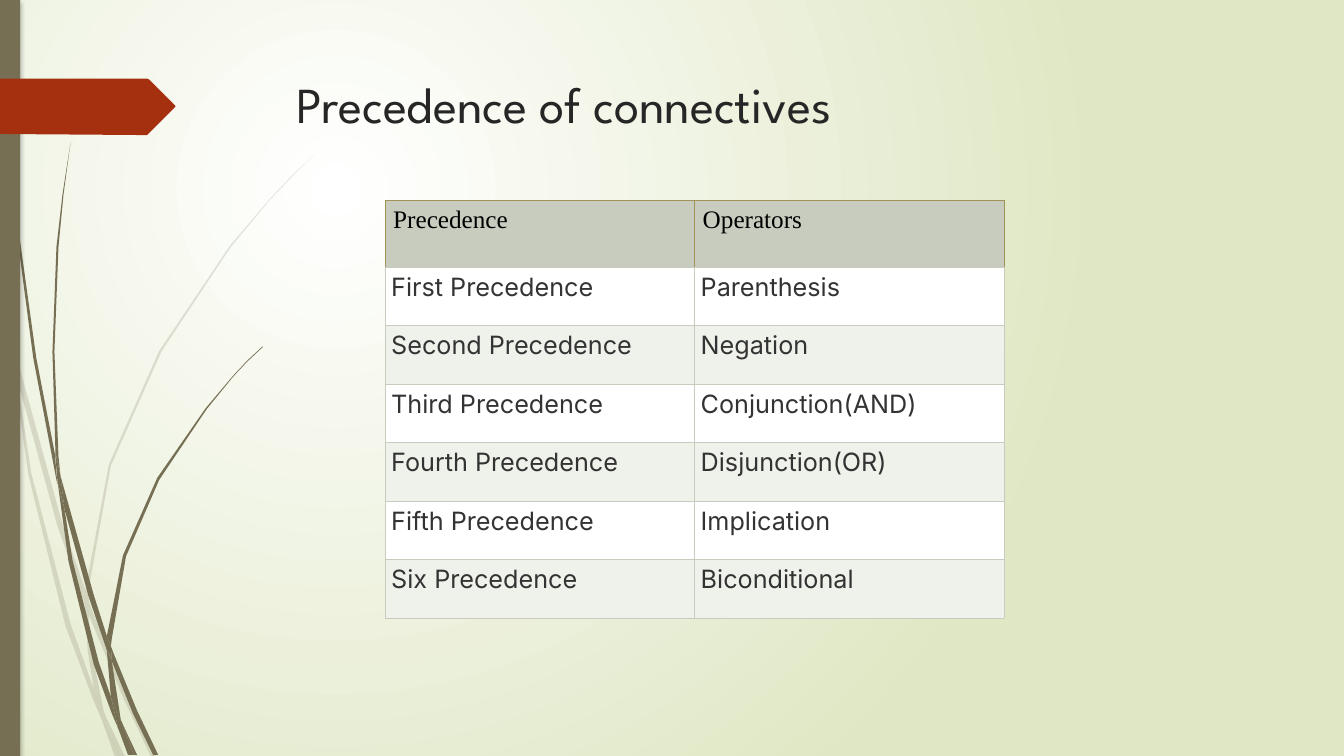
from lxml.etree import SubElement as Sub
from pptx import Presentation
from pptx.dml.color import RGBColor as Rgb
from pptx.enum.shapes import MSO_SHAPE as Shape
from pptx.enum.text import MSO_ANCHOR as Anchor, MSO_AUTO_SIZE as Auto, PP_ALIGN as Align
from pptx.oxml.ns import qn
from pptx.util import Inches, Pt

THEME = dict(
    stem="766F54", tag="A53010", glow="FFFFFF", edge="DFE7C4",
    title="262626", head="000000", body="333333",
    grid="C7CCBE", rim="A09259", bands=("FFFFFF", "EFF1EB"),
    title_font="League Spartan", head_font="Times New Roman", body_font="Inter",
    title_size=36, cell_size=18,
)
UNIT = Inches(0.01)  # outlines below count in hundredths of an inch


def outline(shapes, flat, color, share=100):
    """Draw a closed outline from x, y, x, y ... with a fill of share percent."""
    spots = list(zip(flat[::2], flat[1::2]))
    pen = shapes.build_freeform(*spots[0], scale=UNIT)
    pen.add_line_segments(spots[1:], close=True)
    form = pen.convert_to_shape()
    form.shadow.inherit = False
    form.fill.solid()
    form.fill.fore_color.rgb = Rgb.from_string(color)
    form.line.fill.background()
    if share < 100:
        tint = form.fill._xPr.find(".//" + qn("a:srgbClr"))
        Sub(tint, qn("a:alpha"), val=str(share * 1000))


def style(text, font, size, color):
    """Format every run of a text frame."""
    for par in text.paragraphs:
        for run in par.runs:
            run.font.name, run.font.size = font, Pt(size)
            run.font.color.rgb = Rgb.from_string(color)


deck = Presentation()
deck.slide_width, deck.slide_height = Inches(13.33), Inches(7.5)
slide = deck.slides.add_slide(deck.slide_layouts[5])
shapes = slide.shapes

# Background: a round glow centred in the upper left
back = slide.background.fill
back.gradient()
for stop, place, tone in zip(back.gradient_stops, (0, 1), ("glow", "edge")):
    stop.position = place
    stop.color.rgb = Rgb.from_string(THEME[tone])
grad = slide.element.find(".//" + qn("a:gradFill"))
grad.remove(grad.find(qn("a:lin")))
ring = Sub(grad, qn("a:path"), path="circle")
Sub(ring, qn("a:fillToRect"), l="25000", t="25000", r="75000", b="75000")

# Grass: a pale sheaf behind a solid one
PALE = (
    (11, 350, 8, 322, 0, 282, 0, 299, 10, 344),
    (57, 522, 84, 599, 85, 586, 62, 520, 14, 345, 17, 376),
    (92, 607, 88, 596, 88, 610, 123, 694, 150, 751, 155, 751, 127, 691),
    (119, 751, 124, 751, 105, 711),
    (93, 683, 70, 619, 31, 469, 17, 376, 11, 350, 28, 470, 65, 621, 92, 693,
     101, 714, 99, 707),
    (84, 599, 87, 646, 93, 683, 96, 692, 105, 711, 103, 706, 91, 646, 88, 610, 88, 608),
    (88, 584, 110, 462, 160, 349, 229, 245, 268, 198, 290, 175, 312, 153, 289, 175,
     268, 197, 228, 244, 158, 348, 108, 461, 85, 584, 85, 586, 88, 596),
    (101, 714, 114, 751, 119, 751),
    (88, 608, 88, 610, 88, 596, 85, 586, 84, 599),
    (96, 692, 93, 683, 99, 707, 101, 714, 119, 751, 105, 711),
)
SOLID = (
    (7, 110, 17, 233, 33, 355, 56, 476, 57, 481, 55, 457, 55, 453, 36, 355, 19, 232,
     8, 109, 5, 48, 4, 0, 3, 0, 4, 48),
    (88, 592, 106, 645, 106, 633, 106, 631, 93, 590, 60, 472, 64, 505),
    (113, 649, 110, 641, 111, 656, 132, 708, 152, 749, 157, 749, 136, 705),
    (110, 691, 98, 657, 72, 556, 64, 505, 57, 477, 68, 557, 93, 659, 111, 708,
     117, 722, 116, 717),
    (60, 472, 58, 453, 54, 349, 58, 245, 63, 193, 70, 141, 62, 193, 56, 245, 52, 349,
     55, 449, 60, 471),
    (133, 749, 136, 749, 122, 719),
    (57, 477, 64, 505, 60, 472, 55, 449, 55, 453),
    (111, 633, 125, 552, 158, 476, 205, 406, 231, 374, 245, 359, 261, 344, 260, 344,
     245, 358, 231, 373, 204, 405, 156, 474, 122, 551, 106, 631, 110, 641),
    (117, 722, 127, 749, 131, 749),
    (106, 645, 110, 691, 116, 706, 122, 719, 120, 715, 111, 656, 109, 651),
    (106, 645, 109, 650, 111, 656, 110, 641, 106, 631, 106, 633),
    (116, 706, 110, 691, 116, 717, 117, 722, 130, 749, 133, 749, 122, 719),
)
for sheaf, share in ((PALE, 20), (SOLID, 100)):
    group = shapes.add_group_shape()
    for blade in sheaf:
        outline(group.shapes, blade, THEME["stem"], share)

# Side bar with a soft shadow
bar = shapes.add_shape(Shape.RECTANGLE, 0, 0, Inches(0.2), deck.slide_height)
bar.shadow.inherit = False
bar.fill.solid()
bar.fill.fore_color.rgb = Rgb.from_string(THEME["stem"])
bar.line.fill.background()
soft = Sub(bar.element.spPr.find(qn("a:effectLst")), qn("a:outerShdw"),
           blurRad=str(Pt(3)), dist=str(Pt(2)), dir="5400000")
shade = Sub(soft, qn("a:srgbClr"), val="000000")
Sub(shade, qn("a:alpha"), val="25000")

# Red tag
outline(shapes, (0, 78, 146, 78, 148, 79, 173, 104, 174, 105, 174, 106, 173, 107,
                 148, 132, 146, 134, 136, 134, 0, 133), THEME["tag"])

# Title
title = shapes.title
title.left, title.top, title.width, title.height = map(Inches, (2.84, 0.68, 9.75, 1.4))
text = title.text_frame
text.text = "Precedence of connectives"
text.word_wrap, text.auto_size, text.vertical_anchor = True, Auto.NONE, Anchor.TOP
text.paragraphs[0].alignment = Align.LEFT
style(text, THEME["title_font"], THEME["title_size"], THEME["title"])

# Table
ROWS = (
    ("Precedence", "Operators"),
    ("First Precedence", "Parenthesis"),
    ("Second Precedence", "Negation"),
    ("Third Precedence", "Conjunction(AND)"),
    ("Fourth Precedence", "Disjunction(OR)"),
    ("Fifth Precedence", "Implication"),
    ("Six Precedence", "Biconditional"),
)
table = shapes.add_table(len(ROWS), 2, Inches(3.82), Inches(1.99),
                         Inches(6.13), Inches(4.14)).table
table.first_row = table.horz_banding = False
for col in table.columns:
    col.width = Inches(3.07)
for r, words in enumerate(ROWS):
    head = r == 0
    table.rows[r].height = Inches(0.66 if head else 0.58)
    for c, word in enumerate(words):
        cell = table.cell(r, c)
        cell.margin_left = cell.margin_right = Inches(0.08 if head else 0.06)
        cell.text_frame.text = word
        kind = "head" if head else "body"
        style(cell.text_frame, THEME[kind + "_font"], THEME["cell_size"], THEME[kind])
        if not head:
            cell.text_frame.paragraphs[0].alignment = Align.JUSTIFY
        for side in "LRTB":
            line = Sub(cell._tc.get_or_add_tcPr(), qn("a:ln" + side), w=str(Pt(0.5)))
            tone = THEME["rim" if head and side != "B" else "grid"]
            Sub(Sub(line, qn("a:solidFill")), qn("a:srgbClr"), val=tone)
        cell.fill.solid()
        fill = THEME["grid"] if head else THEME["bands"][(r - 1) % 2]
        cell.fill.fore_color.rgb = Rgb.from_string(fill)

deck.save("out.pptx")
